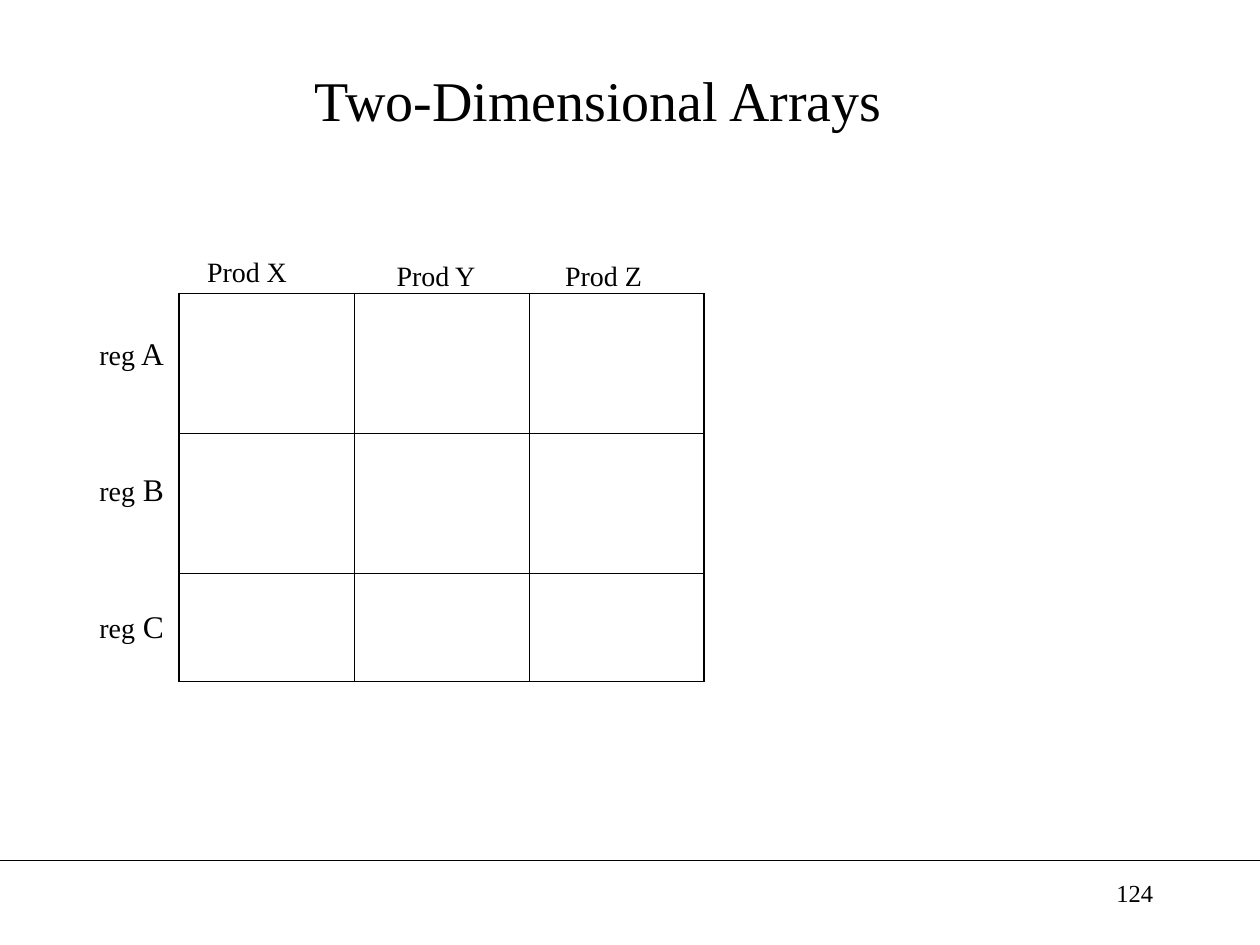
"""Build the slide on two-dimensional arrays: a product by region grid."""
from dataclasses import dataclass

from lxml.etree import SubElement
from pptx import Presentation
from pptx.dml.color import RGBColor
from pptx.enum.shapes import MSO_CONNECTOR
from pptx.enum.text import MSO_ANCHOR, PP_ALIGN
from pptx.oxml.ns import qn
from pptx.slide import Slide
from pptx.table import _Cell
from pptx.text.text import Font
from pptx.util import Inches, Pt

FONT = "Times New Roman"
BLACK = "000000"
OUTER, INNER = 1.08, 0.45
COL_WIDTHS = [1.39] * 3
ROW_HEIGHTS = [1.11, 1.11, 0.86]


@dataclass
class Label:
    runs: list[tuple[str, int]]
    left: float
    top: float
    width: float
    height: float
    align: PP_ALIGN = PP_ALIGN.CENTER


LABELS = [
    *[Label([("reg", 16), (f" {region}", 18)], 0.67, top, 0.75, 0.4)
      for region, top in zip("ABC", (2.6, 3.68, 4.77))],
    *[Label([(f"Prod {product}", 16)], left, top, 0.92, 0.37)
      for product, left, top in (("X", 1.5, 1.97), ("Y", 3, 2), ("Z", 4.33, 2))],
    Label([("124", 14)], 7.17, 6.92, 2.08, 0.5, PP_ALIGN.RIGHT),
]


def color(value: str) -> RGBColor:
    return RGBColor.from_string(value)


def set_font(font: Font, size: int) -> None:
    font.name, font.size = FONT, Pt(size)
    font.color.rgb = color(BLACK)


def add_title(s: Slide, text: str) -> None:
    sp = s.shapes.title
    sp.left, sp.top, sp.width, sp.height = map(Inches, (0.5, 0.25, 8.5, 1.08))
    tf = sp.text_frame
    tf.text = text
    tf.vertical_anchor = MSO_ANCHOR.MIDDLE
    p = tf.paragraphs[0]
    p.alignment = PP_ALIGN.CENTER
    set_font(p.font, 32)


def add_label(s: Slide, label: Label) -> None:
    sp = s.shapes.add_textbox(Inches(label.left), Inches(label.top),
                              Inches(label.width), Inches(label.height))
    tf = sp.text_frame
    tf.word_wrap = True
    p = tf.paragraphs[0]
    p.alignment = label.align
    for text, size in label.runs:
        r = p.add_run()
        r.text = text
        set_font(r.font, size)


def set_borders(cell: _Cell, widths: dict[str, float]) -> None:
    tc_pr = cell._tc.get_or_add_tcPr()
    for side, width in widths.items():
        ln = SubElement(tc_pr, qn(f"a:ln{side}"), w=str(Pt(width)))
        fill = SubElement(ln, qn("a:solidFill"))
        SubElement(fill, qn("a:srgbClr"), val=BLACK)


def add_grid(s: Slide, left: float, top: float) -> None:
    n_rows, n_cols = len(ROW_HEIGHTS), len(COL_WIDTHS)
    table = s.shapes.add_table(n_rows, n_cols, Inches(left), Inches(top),
                               Inches(sum(COL_WIDTHS)), Inches(sum(ROW_HEIGHTS))).table
    table.first_row = table.horz_banding = False
    for column, width in zip(table.columns, COL_WIDTHS):
        column.width = Inches(width)
    for i, height in enumerate(ROW_HEIGHTS):
        table.rows[i].height = Inches(height)
        for j in range(n_cols):
            cell = table.cell(i, j)
            edges = {"L": j == 0, "R": j == n_cols - 1, "T": i == 0, "B": i == n_rows - 1}
            set_borders(cell, {side: OUTER if edge else INNER for side, edge in edges.items()})
            cell.fill.background()


def add_rule(s: Slide, y: float) -> None:
    line = s.shapes.add_connector(MSO_CONNECTOR.STRAIGHT, 0, Inches(y), Inches(10), Inches(y))
    line.line.color.rgb = color(BLACK)
    line.line.width = Pt(0.75)
    SubElement(line._element.spPr, qn("a:effectLst"))


def main() -> None:
    prs = Presentation()
    prs.slide_width, prs.slide_height = Inches(10), Inches(7.5)
    s = prs.slides.add_slide(prs.slide_layouts[5])
    add_rule(s, 6.83)
    add_title(s, "Two-Dimensional Arrays")
    add_grid(s, 1.42, 2.33)
    for label in LABELS:
        add_label(s, label)
    prs.save("out.pptx")


if __name__ == "__main__":
    main()
